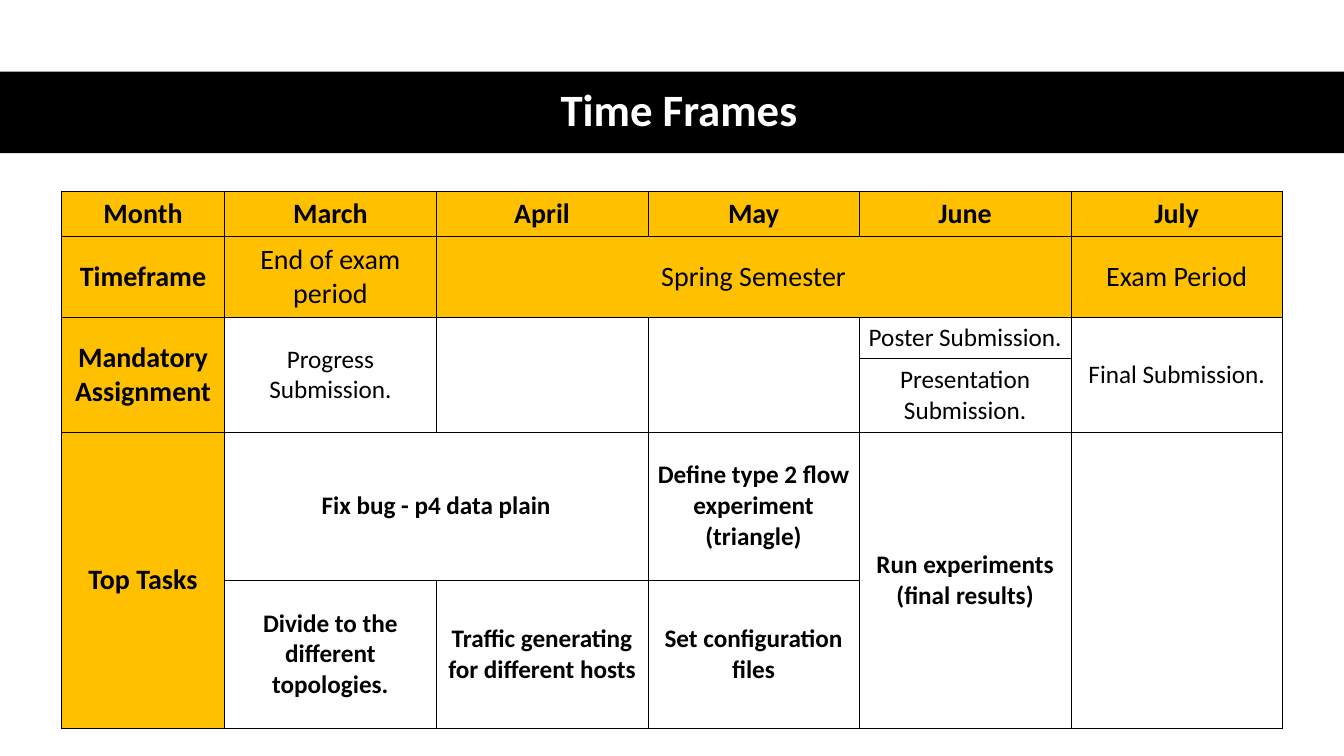
from lxml.etree import SubElement
from pptx import Presentation
from pptx.dml.color import RGBColor
from pptx.enum.shapes import MSO_SHAPE
from pptx.enum.text import MSO_ANCHOR, PP_ALIGN
from pptx.oxml.ns import qn
from pptx.util import Pt

EMU_PER_PX = 9144
FONT = "Calibri"
COLORS = {"black": "000000", "white": "FFFFFF", "gold": "FFC000"}

COLUMN_WIDTHS = [162] + [210] * 5
ROW_HEIGHTS = [41, 81, 37, 73, 147, 147]
HEADER_ROWS = (0, 1)
BOLD_ROWS = (0, 4, 5)

MONTHS = ["Month", "March", "April", "May", "June", "July"]
ENTRIES = [(0, column, 1, 1, month) for column, month in enumerate(MONTHS)] + [
    (1, 0, 1, 1, "Timeframe"),
    (1, 1, 1, 1, "End of exam period"),
    (1, 2, 1, 3, "Spring Semester"),
    (1, 5, 1, 1, "Exam Period"),
    (2, 0, 2, 1, "Mandatory Assignment"),
    (2, 1, 2, 1, "Progress Submission."),
    (2, 2, 2, 1, ""),
    (2, 3, 2, 1, ""),
    (2, 4, 1, 1, "Poster Submission."),
    (2, 5, 2, 1, "Final Submission."),
    (3, 4, 1, 1, "Presentation Submission."),
    (4, 0, 2, 1, "Top Tasks"),
    (4, 1, 1, 2, "Fix bug - p4 data plain"),
    (4, 3, 1, 1, "Define type 2 flow experiment (triangle)"),
    (4, 4, 2, 1, "Run experiments (final results)"),
    (4, 5, 2, 1, ""),
    (5, 1, 1, 1, "Divide to the different topologies."),
    (5, 2, 1, 1, "Traffic generating for different hosts"),
    (5, 3, 1, 1, "Set configuration files"),
]


def px(length):
    return length * EMU_PER_PX


def color(name):
    return RGBColor.from_string(COLORS[name])


def style_paragraph(paragraph, size, bold, color_name):
    paragraph.alignment = PP_ALIGN.CENTER
    paragraph.font.name = FONT
    paragraph.font.size = Pt(size)
    paragraph.font.bold = bold
    paragraph.font.color.rgb = color(color_name)


def add_title(page, left, top, width, height):
    band = page.shapes.add_shape(
        MSO_SHAPE.RECTANGLE, px(left), px(top), px(width), px(height))
    band.shadow.inherit = False
    band.fill.solid()
    band.fill.fore_color.rgb = color("black")
    band.line.fill.background()

    title = page.shapes.title
    title.element.addprevious(band.element)
    title.left, title.top = px(left + 61), px(top)
    title.width, title.height = px(width - 108), px(height)
    title.text_frame.text = "Time Frames"
    title.text_frame.word_wrap = True
    title.text_frame.vertical_anchor = MSO_ANCHOR.MIDDLE
    paragraph = title.text_frame.paragraphs[0]
    paragraph.line_spacing = 0.9
    style_paragraph(paragraph, 32, True, "white")


def add_borders(cell):
    properties = cell._tc.get_or_add_tcPr()
    for side in ("lnL", "lnR", "lnT", "lnB"):
        line = SubElement(properties, qn(f"a:{side}"), w=str(Pt(0.23)))
        fill = SubElement(line, qn("a:solidFill"))
        SubElement(fill, qn("a:srgbClr"), val=COLORS["black"])


def format_cell(cell, row, column):
    is_header = row in HEADER_ROWS or column == 0
    is_bold = row in BOLD_ROWS or column == 0
    add_borders(cell)
    if is_header:
        cell.fill.solid()
        cell.fill.fore_color.rgb = color("gold")
    else:
        cell.fill.background()
    cell.vertical_anchor = MSO_ANCHOR.MIDDLE
    cell.margin_left = cell.margin_right = 0
    cell.margin_top = cell.margin_bottom = px(5)
    style_paragraph(cell.text_frame.paragraphs[0],
                    20 if is_header else 18, is_bold, "black")


def add_schedule(page, left, top):
    frame = page.shapes.add_table(
        len(ROW_HEIGHTS), len(COLUMN_WIDTHS), px(left), px(top),
        px(sum(COLUMN_WIDTHS)), px(sum(ROW_HEIGHTS)))
    table = frame.table
    table.first_row = False
    table.horz_banding = False
    for column, width in zip(table.columns, COLUMN_WIDTHS):
        column.width = px(width)
    for row, height in zip(table.rows, ROW_HEIGHTS):
        row.height = px(height)

    for row, column, row_span, column_span, text in ENTRIES:
        cell = table.cell(row, column)
        if row_span * column_span > 1:
            cell.merge(table.cell(row + row_span - 1, column + column_span - 1))
        cell.text = text
    for row in range(len(ROW_HEIGHTS)):
        for column in range(len(COLUMN_WIDTHS)):
            format_cell(table.cell(row, column), row, column)


def main():
    deck = Presentation()
    deck.slide_width, deck.slide_height = px(1334), px(750)
    page = deck.slides.add_slide(deck.slide_layouts[5])
    add_title(page, 0, 71, 1334, 81)
    add_schedule(page, 61, 190)
    deck.save("out.pptx")


if __name__ == "__main__":
    main()
